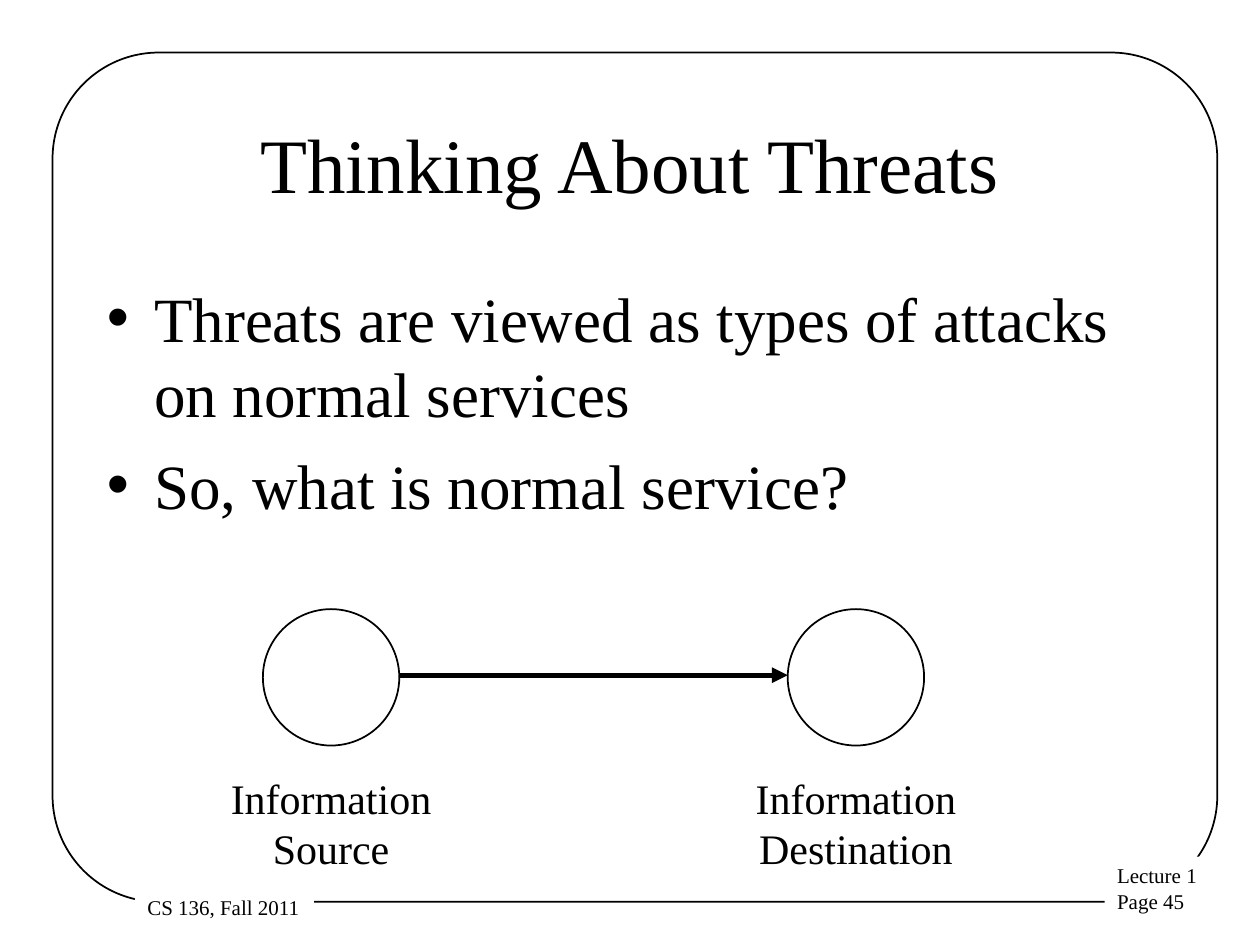
"""Build the slide on threats as attacks on a normal information service."""
from lxml.etree import SubElement
from pptx import Presentation
from pptx.dml.color import RGBColor
from pptx.enum.shapes import MSO_CONNECTOR as Connector, MSO_SHAPE as Shape
from pptx.enum.text import MSO_ANCHOR as Anchor, MSO_AUTO_SIZE as AutoSize, PP_ALIGN as Align
from pptx.oxml.ns import qn
from pptx.util import Cm, Pt

BLACK = RGBColor(0x00, 0x00, 0x00)
WHITE = RGBColor(0xFF, 0xFF, 0xFF)
FONT = "Times New Roman"


def write(frame, lines, size, align=Align.LEFT, anchor=Anchor.TOP, before=0, wrap=True):
    frame.auto_size = AutoSize.NONE
    frame.word_wrap = wrap
    frame.vertical_anchor = anchor
    frame.text = "\n".join(lines)
    for paragraph in frame.paragraphs:
        paragraph.alignment = align
        paragraph.space_before = Pt(before)
        font = paragraph.font
        font.name, font.size = FONT, Pt(size)
        font.color.rgb = BLACK


class Deck:
    def __init__(self):
        self.presentation = Presentation()
        self.presentation.slide_width = Cm(25.4)
        self.presentation.slide_height = Cm(19.05)
        self.slide = self.presentation.slides.add_slide(self.presentation.slide_layouts[1])
        self.shapes = self.slide.shapes

    def placeholder(self, index, box, lines, size, **style):
        holder = self.slide.placeholders[index]
        holder.left, holder.top, holder.width, holder.height = map(Cm, box)
        write(holder.text_frame, lines, size, **style)

    def outline(self, kind, box):
        shape = self.shapes.add_shape(kind, *map(Cm, box))
        shape.shadow.inherit = False
        shape.fill.background()
        shape.line.color.rgb = BLACK
        shape.line.width = Pt(1)
        return shape

    def label(self, box, lines, size, fill=None, **style):
        label = self.shapes.add_textbox(*map(Cm, box))
        if fill is not None:
            label.fill.solid()
            label.fill.fore_color.rgb = fill
        write(label.text_frame, lines, size, **style)

    def arrow(self, start, end):
        arrow = self.shapes.add_connector(Connector.STRAIGHT, *map(Cm, start + end))
        arrow.line.color.rgb = BLACK
        arrow.line.width = Pt(3)
        SubElement(arrow.line._get_or_add_ln(), qn("a:tailEnd"), type="triangle")
        SubElement(arrow._element.spPr, qn("a:effectLst"))


def main():
    deck = Deck()
    border = deck.outline(Shape.ROUNDED_RECTANGLE, (1.06, 1.06, 23.48, 17.12))
    border.adjustments[0] = 0.125
    deck.label((22.27, 17.27, 3.22, 1.27), ["Lecture 1", "Page 45"], 12, fill=WHITE)
    deck.label((2.72, 17.91, 3.61, 0.76), ["CS 136, Fall 2011"], 12, fill=WHITE, wrap=False)

    deck.placeholder(0, (1.9, 1.69, 21.59, 3.18), ["Thinking About Threats"], 44,
                     align=Align.CENTER, anchor=Anchor.MIDDLE)
    deck.placeholder(1, (1.9, 5.5, 21.59, 5.5),
                     ["Threats are viewed as types of attacks on normal services",
                      "So, what is normal service?"], 36, before=9)

    diameter, node_top, label_width = 2.75, 12.28, 4.55
    source_left, destination_left = 5.3, 15.88
    arrow_y = 13.61
    deck.arrow((source_left + diameter, arrow_y), (destination_left, arrow_y))
    for left, role in ((source_left, "Source"), (destination_left, "Destination")):
        deck.outline(Shape.OVAL, (left, node_top, diameter, diameter))
        label_left = left + (diameter - label_width) / 2
        deck.label((label_left, 15.45, label_width, 2.29), ["Information", role], 24,
                   align=Align.CENTER, wrap=False)

    deck.presentation.save("out.pptx")


if __name__ == "__main__":
    main()
